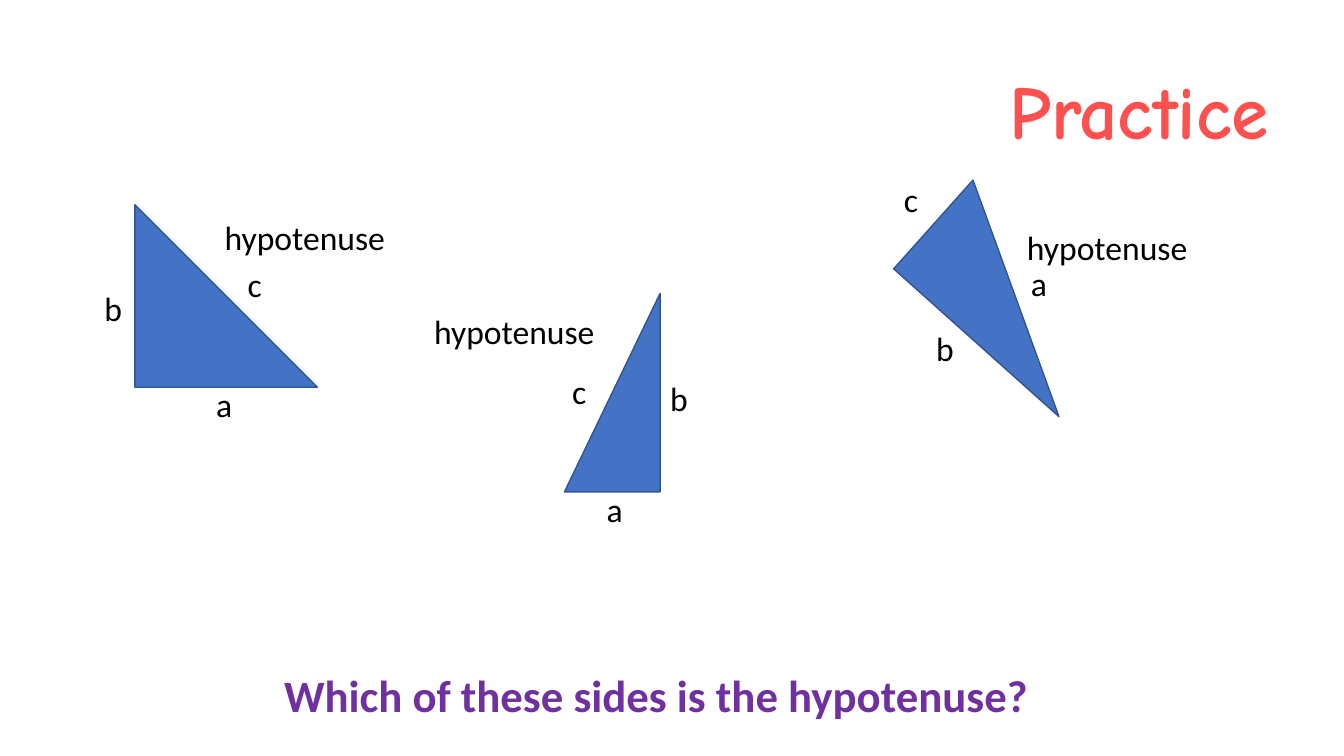
from dataclasses import dataclass

from pptx import Presentation
from pptx import util as u
from pptx.dml.color import RGBColor
from pptx.enum import shapes, text


@dataclass(frozen=True)
class Theme:
    body_font: str = "Calibri"
    title_font: str = "Comic Neue"
    label_size: int = 24
    question_size: int = 32
    title_size: int = 54
    ink: str = "000000"
    title: str = "FF5050"
    question: str = "7030A0"
    triangle: str = "4472C4"
    outline: str = "325491"


THEME = Theme()
LABEL_HEIGHT = 1.28

TRIANGLES = [
    ((3.4, 5.16, 4.6, 4.6), 0, [
        ("a", 1.8, 4.39, 2),
        ("b", -1.02, 1.96, 1.8),
        ("c", 2.59, 1.37, 1.8),
        ("hypotenuse", 2.01, 0.18, 6.55),
    ]),
    ((12.93, 8.69, 5, 2.41), 270, [
        ("a", 2.11, 3.51, 1),
        ("b", 3.71, 0.71, 1),
        ("c", 1.24, 0.53, 1),
        ("hypotenuse", -2.24, -0.97, 5.33),
    ]),
    ((22.81, 6.02, 5.59, 3), 41.8, [
        ("c", -0.28, -1.63, 1),
        ("a", 2.92, 0.48, 1.2),
        ("b", 0.53, 2.11, 1.2),
        ("hypotenuse", 2.82, -0.43, 7.2),
    ]),
]


def add_words(slide, box, words, size, color, font=THEME.body_font, bold=False):
    frame = slide.shapes.add_textbox(*map(u.Cm, box)).text_frame
    frame.word_wrap = True
    frame.text = words
    paragraph = frame.paragraphs[0]
    run_font = paragraph.runs[0].font
    run_font.name = font
    run_font.size = u.Pt(size)
    run_font.bold = bold
    run_font.color.rgb = RGBColor.from_string(color)
    return frame


def add_title(slide, box):
    frame = add_words(slide, box, "Practice", THEME.title_size, THEME.title,
                      THEME.title_font, True)
    frame.vertical_anchor = text.MSO_ANCHOR.MIDDLE
    frame.paragraphs[0].alignment = text.PP_ALIGN.RIGHT
    frame.paragraphs[0].line_spacing = 0.9


def add_question(slide, box):
    add_words(slide, box, "Which of these sides is the hypotenuse?",
              THEME.question_size, THEME.question, bold=True)


def add_labelled_triangle(slide, box, rotation, labels):
    triangle = slide.shapes.add_shape(
        shapes.MSO_SHAPE.RIGHT_TRIANGLE, *map(u.Cm, box))
    triangle.rotation = rotation
    triangle.shadow.inherit = False
    triangle.fill.solid()
    triangle.fill.fore_color.rgb = RGBColor.from_string(THEME.triangle)
    triangle.line.color.rgb = RGBColor.from_string(THEME.outline)
    triangle.line.width = u.Pt(1)
    left, top = box[:2]
    for words, dx, dy, width in labels:
        add_words(slide, (left + dx, top + dy, width, LABEL_HEIGHT),
                  words, THEME.label_size, THEME.ink)


def main():
    deck = Presentation()
    deck.slide_width = u.Cm(33.87)
    deck.slide_height = u.Cm(19.05)
    slide = deck.slides.add_slide(deck.slide_layouts[6])
    add_title(slide, (8.33, 1.12, 23.9, 3.58))
    for box, rotation, labels in TRIANGLES:
        add_labelled_triangle(slide, box, rotation, labels)
    add_question(slide, (6.91, 16.69, 21.79, 1.63))
    deck.save("out.pptx")


if __name__ == "__main__":
    main()
